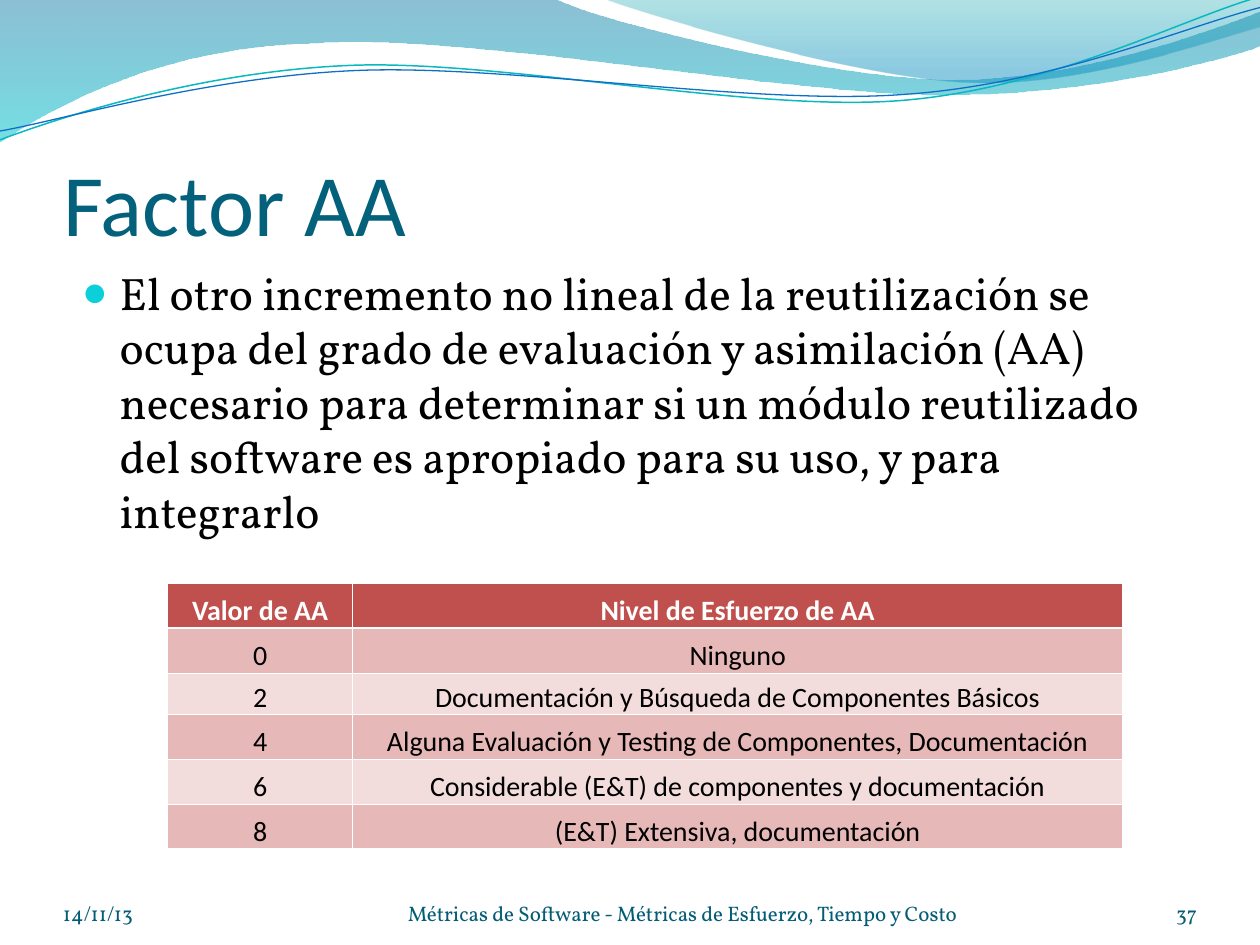
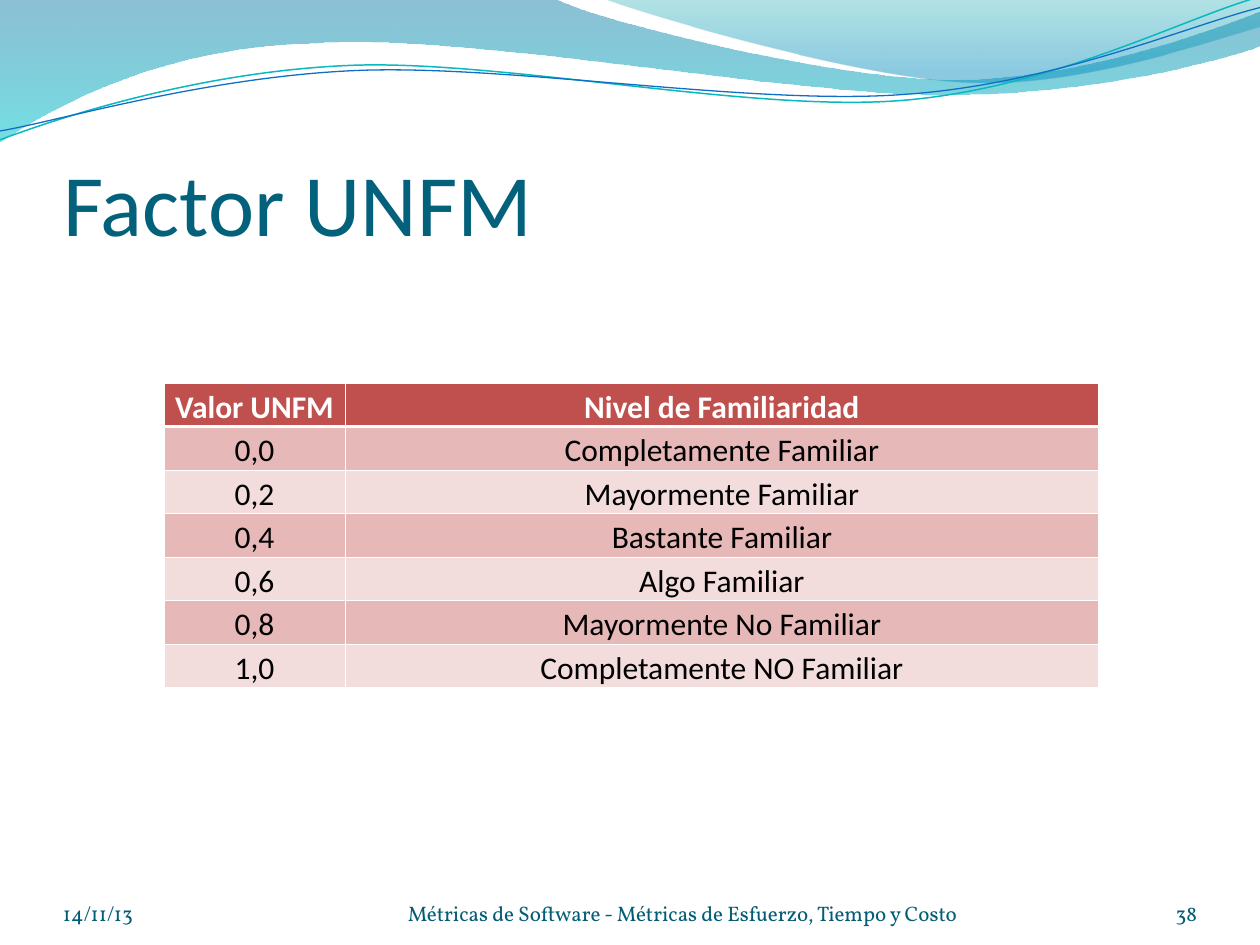
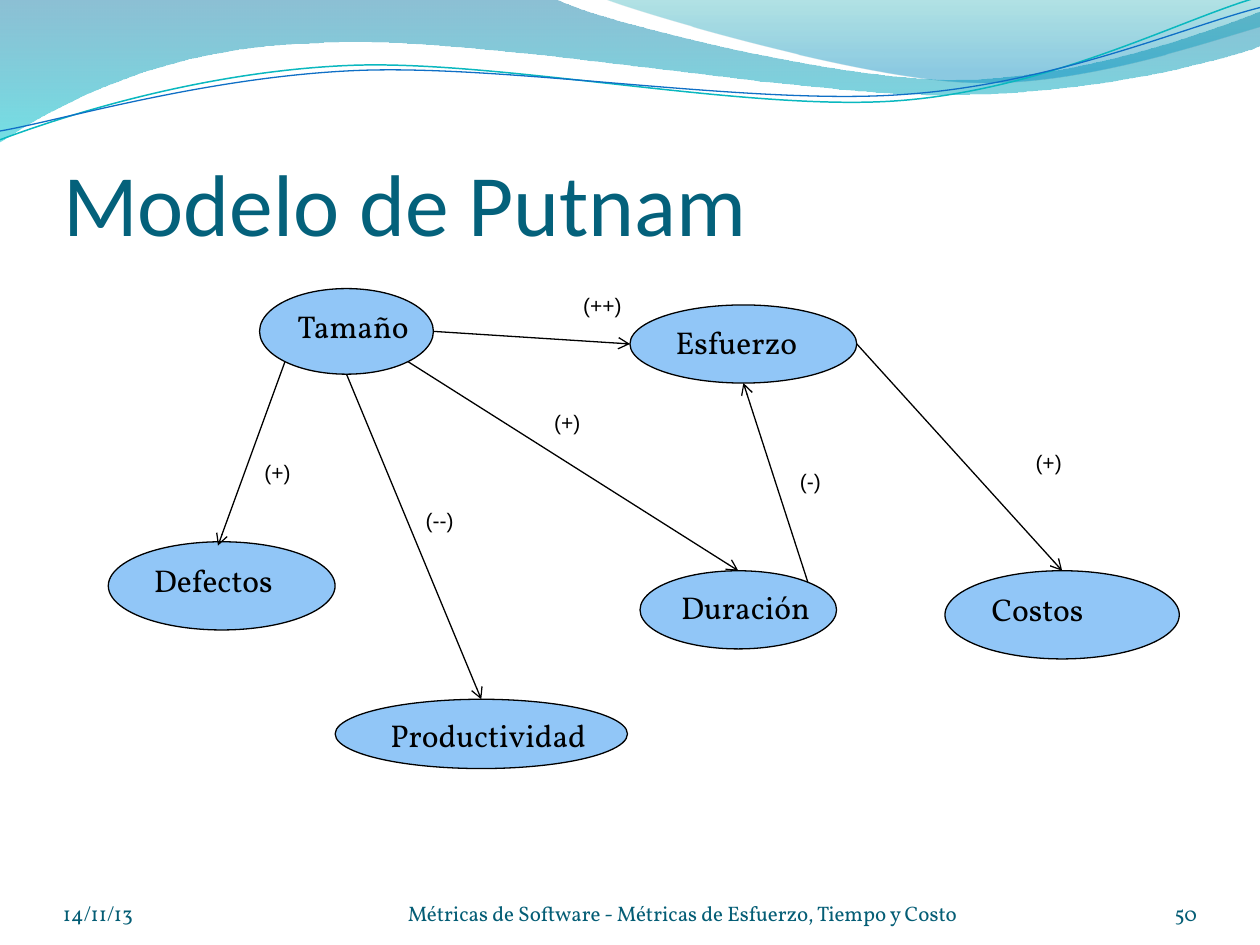
from math import cos, pi, sin

from lxml import etree
from pptx import Presentation
from pptx.dml.color import RGBColor
from pptx.enum.shapes import MSO_CONNECTOR, MSO_SHAPE
from pptx.enum.text import MSO_ANCHOR, MSO_AUTO_SIZE, PP_ALIGN
from pptx.oxml.ns import qn
from pptx.util import Inches, Pt

LEFT, CENTER, RIGHT = PP_ALIGN.LEFT, PP_ALIGN.CENTER, PP_ALIGN.RIGHT
TOP, BOTTOM = MSO_ANCHOR.TOP, MSO_ANCHOR.BOTTOM
W, H = 10, 7.5
SANS, SERIF, LABEL = "Calibri", "Vollkorn", "Arial"
BLACK, WHITE = "000000", "FFFFFF"
TITLE, FOOT, BULLET, NODE = "04617B", "045D75", "0BD0D9", "91C6F7"
HEAD, BANDS = "C0504D", ("E6B9B8", "F2DDDC")

# Content
FOOTER = "Métricas de Software - Métricas de Esfuerzo, Tiempo y Costo"
DATE = "14/11/13"
AA_TEXT = ("El otro incremento no lineal de la reutilización se ocupa del grado de "
           "evaluación y asimilación (AA) necesario para determinar si un módulo "
           "reutilizado del software es apropiado para su uso, y para integrarlo")
AA_ROWS = [
    ("Valor de AA", "Nivel de Esfuerzo de AA"),
    ("0", "Ninguno"),
    ("2", "Documentación y Búsqueda de Componentes Básicos"),
    ("4", "Alguna Evaluación y Testing de Componentes, Documentación"),
    ("6", "Considerable (E&T) de componentes y documentación"),
    ("8", "(E&T) Extensiva, documentación"),
]
UNFM_ROWS = [
    ("Valor UNFM", "Nivel de Familiaridad"),
    ("0,0", "Completamente Familiar"),
    ("0,2", "Mayormente Familiar"),
    ("0,4", "Bastante Familiar"),
    ("0,6", "Algo Familiar"),
    ("0,8", "Mayormente No Familiar"),
    ("1,0", "Completamente NO Familiar"),
]
NODES = {  # left, top, width, height
    "Tamaño": (2.06, 2.29, 1.38, 0.68),
    "Esfuerzo": (5, 2.42, 1.8, 0.62),
    "Duración": (5.08, 4.53, 1.56, 0.62),
    "Costos": (7.5, 4.53, 1.86, 0.7),
    "Productividad": (2.66, 5.55, 2.32, 0.55),
    "Defectos": (0.86, 4.3, 1.8, 0.7),
}
# Compass points on an ellipse, in eighths of a turn clockwise from east
E, SE, S, SW, WEST, N, NE = 0, 1, 2, 3, 4, 6, 7
LINKS = [  # from, side, to, side or point, label, label box
    ("Tamaño", E, "Esfuerzo", WEST, "(++)", (4.53, 2.27, 0.62, 0.31)),
    ("Tamaño", SE, "Duración", N, "(+)", (4.3, 3.2, 0.41, 0.3)),
    ("Esfuerzo", E, "Costos", N, "(+)", (8.12, 3.52, 0.41, 0.3)),
    ("Tamaño", S, "Productividad", N, "(--)", (3.28, 3.98, 0.43, 0.3)),
    ("Tamaño", SW, "Defectos", (1.73, 4.33), "(+)", (2, 3.6, 0.41, 0.3)),
    ("Duración", NE, "Esfuerzo", S, "(-)", (6.25, 3.67, 0.37, 0.3)),
]
# Waves: start point, then line ends (2 numbers) or Bézier curves (6 numbers)
WAVE_FILLS = [
    ([(0, 0), (4.4, -0.01), (4.76, 0.17, 6.64, 0.63, 7.58, 0.63),
      (8.53, 0.63, 9.58, 0.26, 10, 0.09), (10.01, 0.36),
      (9.83, 0.44, 8.7, 0.76, 7.46, 0.75), (6.22, 0.75, 3.82, 0.28, 2.57, 0.34),
      (1.29, 0.36, 0.46, 0.83, -0.01, 1.13), (0, 0)],
     [(0, "0074A1", 45), (1, "00C6CF", 55)]),
    ([(4.79, -0.01), (5.09, 0.11, 6.82, 0.62, 7.69, 0.65),
      (8.56, 0.69, 9.61, 0.32, 10, 0.21), (10, 0), (4.79, -0.01)],
     [(0, "00A1A9", 30), (0.8, "008BBF", 45)]),
]
WAVE_LINES = [
    ([(0, 1.11), (0.48, 0.93, 1.58, 0.57, 2.77, 0.52),
      (3.95, 0.47, 5.93, 0.89, 7.13, 0.8), (8.33, 0.71, 9.38, 0.15, 9.98, -0.02)],
     "0AB8BF", 0.85),
    ([(0, 1.04), (0.47, 0.96, 1.64, 0.61, 2.83, 0.56),
      (4.03, 0.51, 5.97, 0.84, 7.17, 0.75), (8.36, 0.67, 9.41, 0.21, 10, 0.06)],
     "0F6FC6", 0.75),
]


def rgb(color):
    return RGBColor.from_string(color)


def box(*lengths):
    return [Inches(v) for v in lengths]


def sub(parent, tag, **attrs):
    return etree.SubElement(parent, qn(tag), {k: str(v) for k, v in attrs.items()})


def put_text(tf, text, font=SERIF, size=12, color=BLACK, bold=False, align=LEFT,
             anchor=TOP, margins=None, wrap=True):
    tf.auto_size = MSO_AUTO_SIZE.NONE
    tf.word_wrap = wrap
    tf.vertical_anchor = anchor
    if margins:
        tf.margin_left, tf.margin_top, tf.margin_right, tf.margin_bottom = box(*margins)
    return put_run(tf.paragraphs[0], text, font, size, color, bold, align)


def put_run(p, text, font, size, color, bold, align):
    p.alignment = align
    r = p.add_run()
    r.text = text
    r.font.name, r.font.size, r.font.bold = font, Pt(size), bold
    r.font.color.rgb = rgb(color)
    return p


def add_text(s, at, text, **fmt):
    return put_text(s.shapes.add_textbox(*box(*at)).text_frame, text, **fmt)


# Waves on the master
def draw_wave(s, outline, close):
    points = [tuple(box(*seg[i:i + 2])) for seg in outline for i in range(0, len(seg), 2)]
    builder = s.shapes.build_freeform(*points[0])
    builder.add_line_segments(points[1:], close=close)
    sp = builder.convert_to_shape()
    sp.shadow.inherit = False
    # Join each three steps of a curve into one Bézier segment
    steps = iter(list(sp.element.iter(qn("a:lnTo"))))
    for seg in outline[1:]:
        step = next(steps)
        if len(seg) == 6:
            curve = etree.Element(qn("a:cubicBezTo"))
            step.addprevious(curve)
            for part in (step, next(steps), next(steps)):
                curve.append(part[0])
                part.getparent().remove(part)
    return sp


def add_waves(prs, s):
    waves = []
    for outline, stops in WAVE_FILLS:
        sp = draw_wave(s, outline, True)
        sp.line.fill.background()
        sp.fill.gradient()
        sp.fill.gradient_angle = 270
        for stop, (position, color, _) in zip(sp.fill.gradient_stops, stops):
            stop.position = position
            stop.color.rgb = rgb(color)
        for clr, (_, _, opacity) in zip(sp.element.spPr.iter(qn("a:srgbClr")), stops):
            sub(clr, "a:alpha", val=opacity * 1000)
        waves.append(sp)
    for outline, color, width in WAVE_LINES:
        sp = draw_wave(s, outline, False)
        sp.fill.background()
        sp.line.color.rgb = rgb(color)
        sp.line.width = Pt(width)
        waves.append(sp)
    tree = prs.slide_master.element.cSld.spTree
    for i, sp in enumerate(waves):
        tree.insert(2 + i, sp.element)


# Shared slide parts
def add_slide(prs, layout, title, number):
    s = prs.slides.add_slide(prs.slide_layouts[layout])
    t = s.shapes.title
    t.left, t.top, t.width, t.height = box(0.5, 0.77, W - 1, 1.25)
    put_text(t.text_frame, title, font=SANS, size=50, color=TITLE, anchor=BOTTOM,
             margins=(0, 0.05, 0, 0))
    for left, width, text, align in [(0.5, 2.33, DATE, LEFT), (2.92, 5, FOOTER, CENTER),
                                     (8.67, 0.83, str(number), RIGHT)]:
        add_text(s, (left, 6.95, width, 0.4), text, color=FOOT, align=align,
                 anchor=BOTTOM, margins=(0, 0, 0, 0))
    return s


def add_bullet(s, at, text):
    body = s.placeholders[1]
    body.left, body.top, body.width, body.height = box(*at)
    pPr = put_text(body.text_frame, text, size=26)._p.get_or_add_pPr()
    pPr.set("marL", str(Inches(0.3)))
    pPr.set("indent", str(-Inches(0.3)))
    sub(sub(pPr, "a:buClr"), "a:srgbClr", val=BULLET)
    sub(pPr, "a:buSzPct", val=95000)
    sub(pPr, "a:buFont", typeface=LABEL)
    sub(pPr, "a:buChar", char="●")


def cell_border(cell, side, width):
    ln = sub(cell._tc.get_or_add_tcPr(), "a:ln" + side, w=Pt(width))
    sub(sub(ln, "a:solidFill"), "a:srgbClr", val=WHITE)


def add_grid(s, at, first_col, rows, size, low_rows=()):
    """Rows share the height evenly, except low rows, which are 0.33 high."""
    left, top, width, height = at
    table = s.shapes.add_table(len(rows), 2, *box(*at)).table
    table.columns[0].width, table.columns[1].width = box(first_col, width - first_col)
    even = (height - 0.33 * len(low_rows)) / (len(rows) - len(low_rows))
    for i, row in enumerate(rows):
        table.rows[i].height = Inches(0.33 if i in low_rows else even)
        for j, text in enumerate(row):
            cell = table.cell(i, j)
            cell.margin_left, cell.margin_top, cell.margin_right, cell.margin_bottom = box(
                0.01, 0.01, 0.01, 0)
            cell.vertical_anchor = BOTTOM
            put_run(cell.text_frame.paragraphs[0], text, SANS, size,
                    BLACK if i else WHITE, i == 0, CENTER)
            cell_border(cell, "R" if j == 0 else "L", 0.5)
            if i > 0:
                cell_border(cell, "T", 1.5 if i == 1 else 0.5)
            if i < len(rows) - 1:
                cell_border(cell, "B", 0.5 if i else 1.5)
            cell.fill.solid()
            cell.fill.fore_color.rgb = rgb(BANDS[(i - 1) % 2] if i else HEAD)


# Diagram
def add_node(s, name):
    sp = s.shapes.add_shape(MSO_SHAPE.OVAL, *box(*NODES[name]))
    sp.shadow.inherit = False
    sp.fill.solid()
    sp.fill.fore_color.rgb = rgb(NODE)
    sp.line.color.rgb = rgb(BLACK)
    sp.line.width = Pt(0.75)
    put_text(sp.text_frame, name, size=18, wrap=False)


def rim(name, side):
    if isinstance(side, tuple):
        return box(*side)
    left, top, width, height = NODES[name]
    angle = side * pi / 4
    return box(left + width / 2 * (1 + cos(angle)), top + height / 2 * (1 + sin(angle)))


def add_arrow(s, start, end):
    c = s.shapes.add_connector(MSO_CONNECTOR.STRAIGHT, *start, *end)
    c.line.color.rgb = rgb(BLACK)
    c.line.width = Pt(0.75)
    sub(c.element.spPr.find(qn("a:ln")), "a:tailEnd", type="arrow")
    sub(c.element.spPr, "a:effectLst")


def main():
    prs = Presentation()
    prs.slide_width, prs.slide_height = box(W, H)

    s = add_slide(prs, 1, "Factor AA", 37)
    add_waves(prs, s)
    add_bullet(s, (0.55, 2.05, 8.83, 2.11), AA_TEXT)
    add_grid(s, (1.33, 4.63, 7.58, 2.11), 1.47, AA_ROWS, 16, low_rows=(2,))

    s = add_slide(prs, 5, "Factor UNFM", 38)
    add_grid(s, (1.3, 3.04, 7.42, 2.42), 1.44, UNFM_ROWS, 18)

    s = add_slide(prs, 5, "Modelo de Putnam", 50)
    for name in NODES:
        add_node(s, name)
    for source, out_side, target, in_side, label, at in LINKS:
        add_arrow(s, rim(source, out_side), rim(target, in_side))
        add_text(s, at, label, font=LABEL, wrap=False)

    prs.save("out.pptx")


if __name__ == "__main__":
    main()
